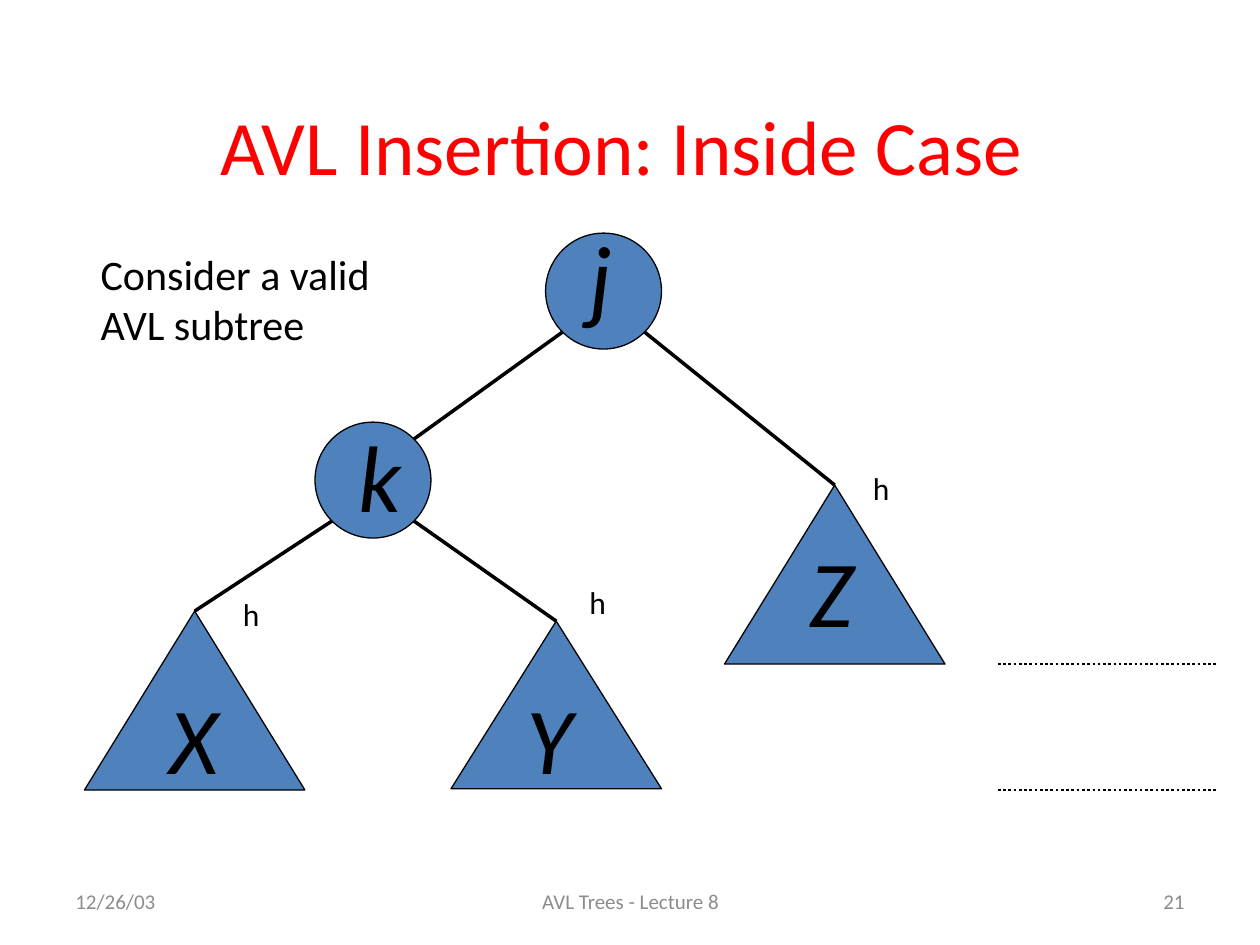
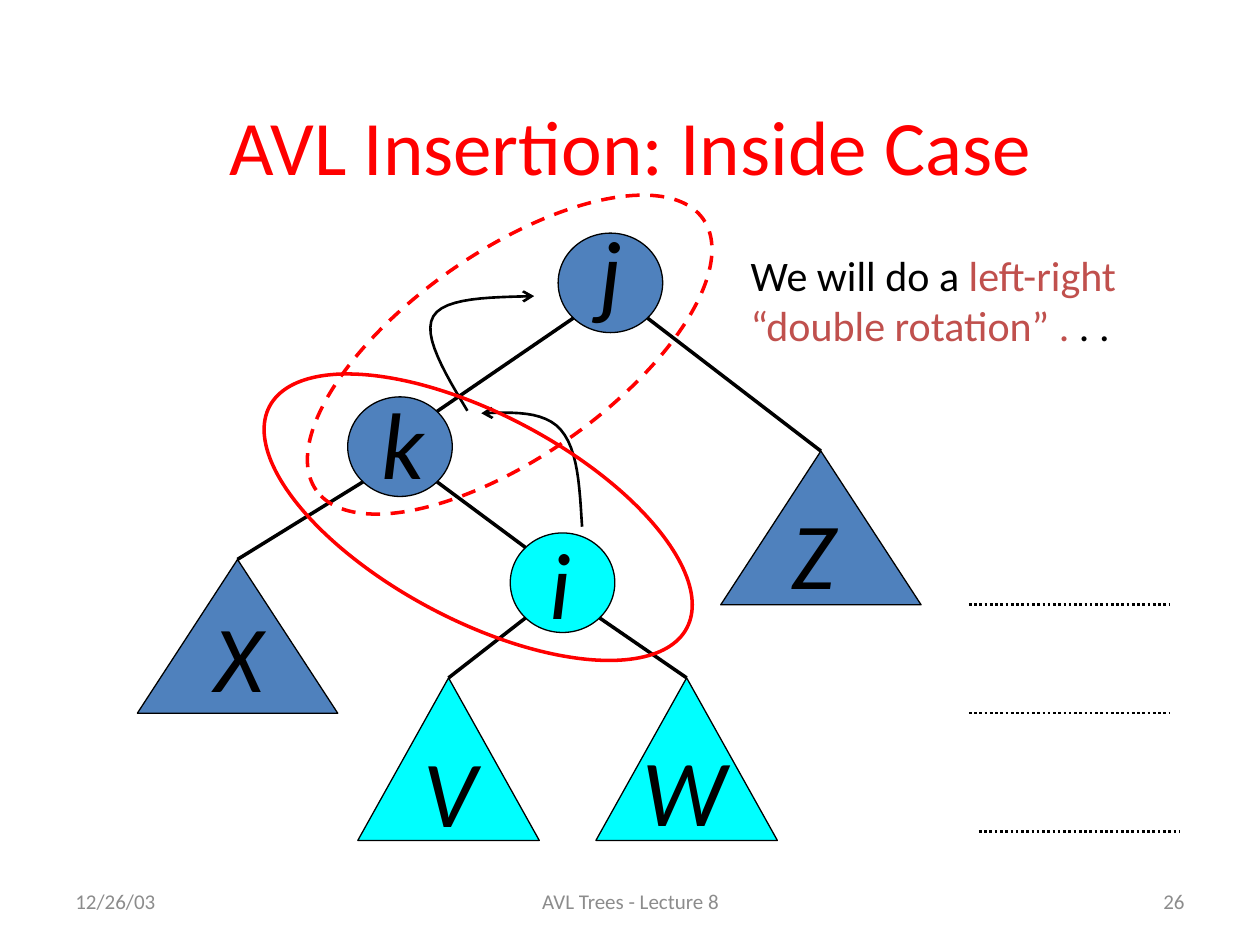
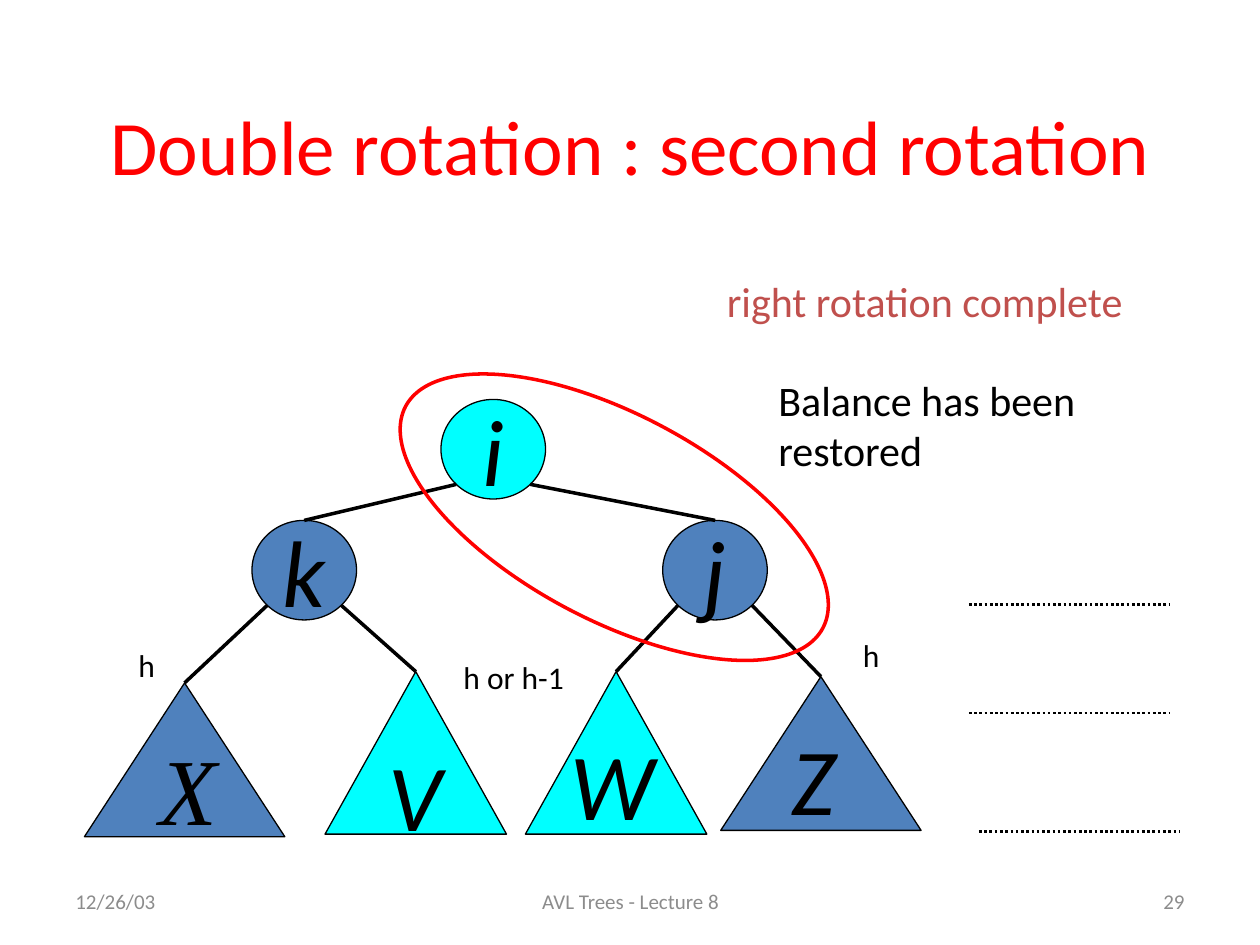
import math

import lxml.etree
import pptx
import pptx.dml.color
import pptx.enum.dml
import pptx.enum.shapes
import pptx.enum.text
import pptx.oxml.ns
import pptx.util

Inches = pptx.util.Inches
Shape = pptx.enum.shapes.MSO_SHAPE
Dash = pptx.enum.dml.MSO_LINE
Align = pptx.enum.text.PP_ALIGN
Anchor = pptx.enum.text.MSO_ANCHOR

BLUE, CYAN, RED, BRICK = "4F81BD", "00FFFF", "FF0000", "C0504D"
BLACK, GRAY = "000000", "8C8C8C"
DISC = (0.83, 0.79)
BLUE_TREE = (1.59, 1.22)
CYAN_TREE = (1.44, 1.29)
RULES = [(7.69, 4.8), (7.69, 5.66), (7.77, 6.6)]


def color(code):
    return pptx.dml.color.RGBColor.from_string(code)


def curve(start, first, second, end, steps=12):
    points = []
    for step in range(1, steps + 1):
        t = step / steps
        weights = ((1 - t) ** 3, 3 * t * (1 - t) ** 2, 3 * t * t * (1 - t), t ** 3)
        points.append(tuple(
            sum(weight * value for weight, value in zip(weights, values))
            for values in zip(start, first, second, end)))
    return points


class Deck:
    font = "Calibri"

    def __init__(self):
        self.show = pptx.Presentation()
        self.show.slide_width = Inches(10)
        self.show.slide_height = Inches(7.5)
        self.slide = None

    def page(self, title, number):
        self.slide = self.show.slides.add_slide(self.show.slide_layouts[5])
        head = self.slide.shapes.title
        head.left, head.top = Inches(0.73), Inches(0.71)
        head.width, head.height = Inches(8.55), Inches(0.88)
        frame = head.text_frame
        frame.text = title
        frame.vertical_anchor = Anchor.MIDDLE
        frame.paragraphs[0].alignment = Align.CENTER
        self.format(frame.paragraphs[0].runs[0], 44, RED)
        foot = [(0.5, 2.33, "12/26/03", Align.LEFT),
                (3.42, 3.17, "AVL Trees - Lecture 8", Align.CENTER),
                (7.17, 2.33, str(number), Align.RIGHT)]
        for left, width, text, align in foot:
            self.text((left, 6.95, width, 0.4), [[(text, GRAY)]], 12, align, Anchor.MIDDLE)

    def format(self, run, size, code, italic=False, font=None):
        run.font.name = font or self.font
        run.font.size = pptx.util.Pt(size)
        run.font.italic = italic
        run.font.color.rgb = color(code)

    def text(self, box, lines, size=24, align=Align.LEFT, anchor=Anchor.TOP,
             italic=False, font=None):
        frame = self.slide.shapes.add_textbox(*map(Inches, box)).text_frame
        frame.word_wrap = True
        frame.vertical_anchor = anchor
        frame.text = "\n".join("" for line in lines)
        for para, line in zip(frame.paragraphs, lines):
            para.alignment = align
            for words, code in line:
                run = para.add_run()
                run.text = words
                self.format(run, size, code, italic, font)

    def label(self, left, top, words="h", width=0.36):
        self.text((left, top, width, 0.43), [[(words, BLACK)]], 18)

    def stroke(self, item, code, width, dash=None):
        item.line.color.rgb = color(code)
        item.line.width = pptx.util.Pt(width)
        if dash:
            item.line.dash_style = dash

    def node(self, kind, place, size, fill, letter, spot=None, font=None):
        shape = self.slide.shapes.add_shape(kind, *map(Inches, place + size))
        shape.shadow.inherit = False
        shape.fill.solid()
        shape.fill.fore_color.rgb = color(fill)
        self.stroke(shape, BLACK, 0.75)
        if spot:
            self.text(spot + (0.51, 1), [[(letter, BLACK)]], 54, italic=True, font=font)
        else:
            frame = shape.text_frame
            frame.text = letter
            frame.word_wrap = False
            frame.vertical_anchor = Anchor.MIDDLE
            frame.paragraphs[0].alignment = Align.CENTER
            self.format(frame.paragraphs[0].runs[0], 54, BLACK, True)
        return shape

    def disc(self, *rest):
        return self.node(Shape.OVAL, *rest)

    def tree(self, *rest):
        return self.node(Shape.ISOSCELES_TRIANGLE, *rest)

    def line(self, start, end, width, dash=None):
        wire = self.slide.shapes.add_connector(
            pptx.enum.shapes.MSO_CONNECTOR.STRAIGHT, *start, *end)
        self.stroke(wire, BLACK, width, dash)
        lxml.etree.SubElement(wire._element.spPr, pptx.oxml.ns.qn("a:effectLst"))
        return wire

    def rim(self, disc, right, down):
        reach = math.sqrt(0.5)
        return (int(disc.left + disc.width / 2 * (1 + right * reach)),
                int(disc.top + disc.height / 2 * (1 + down * reach)))

    def edge(self, parent, child, corner=False):
        side = 1 if child.left + child.width / 2 > parent.left + parent.width / 2 else -1
        top = (child.left + child.width // 2, child.top)
        end = self.rim(child, -side, -1) if corner else top
        wire = self.line(self.rim(parent, side, 1), end, 2)
        if not corner:
            wire.end_connect(child, 0)

    def rule(self, left, top, width=1.59):
        self.line((Inches(left), Inches(top)), (Inches(left + width), Inches(top)),
                  1.5, Dash.ROUND_DOT)

    def ring(self, left, top, turn, dash=None):
        shape = self.slide.shapes.add_shape(
            Shape.OVAL, *map(Inches, (left, top, 3.75, 1.63)))
        shape.shadow.inherit = False
        shape.fill.background()
        shape.rotation = turn
        self.stroke(shape, RED, 2, dash)

    def arrow(self, start, *bends):
        points, last = [], start
        for bend in bends:
            points += curve(last, *bend)
            last = bend[-1]
        pen = self.slide.shapes.build_freeform(*map(Inches, start))
        pen.add_line_segments([tuple(map(Inches, point)) for point in points], close=False)
        shape = pen.convert_to_shape()
        shape.shadow.inherit = False
        shape.fill.background()
        self.stroke(shape, BLACK, 1.5)
        outline = shape.line._get_or_add_ln()
        lxml.etree.SubElement(outline, pptx.oxml.ns.qn("a:tailEnd"), type="arrow")


def valid(deck):
    deck.page("AVL Insertion: Inside Case ", 21)
    round_size, tall = (0.92, 0.92), (1.75, 1.42)
    j = deck.disc((4.33, 1.85), round_size, BLUE, "j", (4.58, 1.68))
    k = deck.disc((2.5, 3.35), round_size, BLUE, "k", (2.75, 3.27))
    x = deck.tree((0.67, 4.85), tall, BLUE, "X", (1.25, 5.35))
    y = deck.tree((3.58, 4.93), (1.67, 1.33), BLUE, "Y", (4.08, 5.35))
    z = deck.tree((5.75, 3.85), tall, BLUE, "Z", (6.33, 4.18))
    deck.edge(j, k, corner=True)
    for parent, child in [(j, z), (k, x), (k, y)]:
        deck.edge(parent, child)
    for top in (5.27, 6.27):
        deck.rule(7.92, top, 1.75)
    deck.text((0.7, 1.92, 2.6, 0.9),
              [[("Consider a valid", BLACK)], [("AVL subtree", BLACK)]])
    for left, top in [(6.83, 3.67), (4.58, 4.58), (1.83, 4.67)]:
        deck.label(left, top)


def double(deck):
    deck.page("AVL Insertion: Inside Case", 26)
    j = deck.disc((4.43, 1.85), DISC, BLUE, "j", (4.66, 1.64))
    k = deck.disc((2.76, 3.15), DISC, BLUE, "k", (2.93, 3.01))
    i = deck.disc((4.05, 4.23), DISC, CYAN, "i", (4.26, 4.12))
    x = deck.tree((1.09, 4.44), BLUE_TREE, BLUE, "X", (1.6, 4.7))
    v = deck.tree((2.84, 5.38), CYAN_TREE, CYAN, "V", (3.26, 5.77))
    w = deck.tree((4.73, 5.38), CYAN_TREE, CYAN, "W", (5, 5.76))
    z = deck.tree((5.72, 3.58), BLUE_TREE, BLUE, "Z", (6.18, 3.88))
    for parent, child in [(j, k), (k, i)]:
        deck.edge(parent, child, corner=True)
    for parent, child in [(j, z), (k, x), (i, v), (i, w)]:
        deck.edge(parent, child)
    for left, top in RULES:
        deck.rule(left, top)
    deck.text((5.86, 1.93, 3.39, 0.9),
              [[("We will do a ", BLACK), ("left-right", BRICK)],
               [("“double rotation” .", BRICK), (" . .", BLACK)]])
    deck.arrow((4.62, 4.18), ((4.6, 3.87), (4.59, 3.57), (4.45, 3.41)),
               ((4.32, 3.26), (4.07, 3.27), (3.82, 3.28)))
    deck.arrow((3.71, 3.26), ((3.53, 2.96), (3.35, 2.66), (3.44, 2.51)),
               ((3.53, 2.36), (3.89, 2.36), (4.24, 2.35)))
    deck.ring(1.92, 3.29, 28)
    deck.ring(2.17, 2, 325, Dash.DASH)


def restored(deck):
    deck.page("Double rotation : second rotation", 29)
    i = deck.disc((3.5, 3.17), DISC, CYAN, "i")
    j = deck.disc((5.26, 4.13), DISC, BLUE, "j")
    k = deck.disc((2, 4.13), DISC, BLUE, "k")
    x = deck.tree((0.67, 5.42), BLUE_TREE, BLUE, "X", (1.17, 5.75), "Times New Roman")
    v = deck.tree((2.58, 5.33), CYAN_TREE, CYAN, "V")
    w = deck.tree((4.17, 5.33), CYAN_TREE, CYAN, "W", (4.43, 5.71))
    z = deck.tree((5.72, 5.37), BLUE_TREE, BLUE, "Z", (6.18, 5.67))
    for parent, child in [(i, k), (i, j), (k, x), (k, v), (j, w), (j, z)]:
        deck.edge(parent, child)
    for left, top in RULES:
        deck.rule(left, top)
    deck.ring(3, 3.29, 28)
    deck.text((5.67, 2.14, 3.5, 0.5), [[("right rotation complete", BRICK)]])
    deck.text((6.08, 2.92, 2.97, 0.9),
              [[("Balance has been", BLACK)], [("restored", BLACK)]],
              anchor=Anchor.MIDDLE)
    deck.label(6.75, 5)
    deck.label(1, 5.08)
    deck.label(3.58, 5.17, "h or h-1", 1.16)


def main():
    deck = Deck()
    for build in (valid, double, restored):
        build(deck)
    deck.show.save("out.pptx")


if __name__ == "__main__":
    main()
